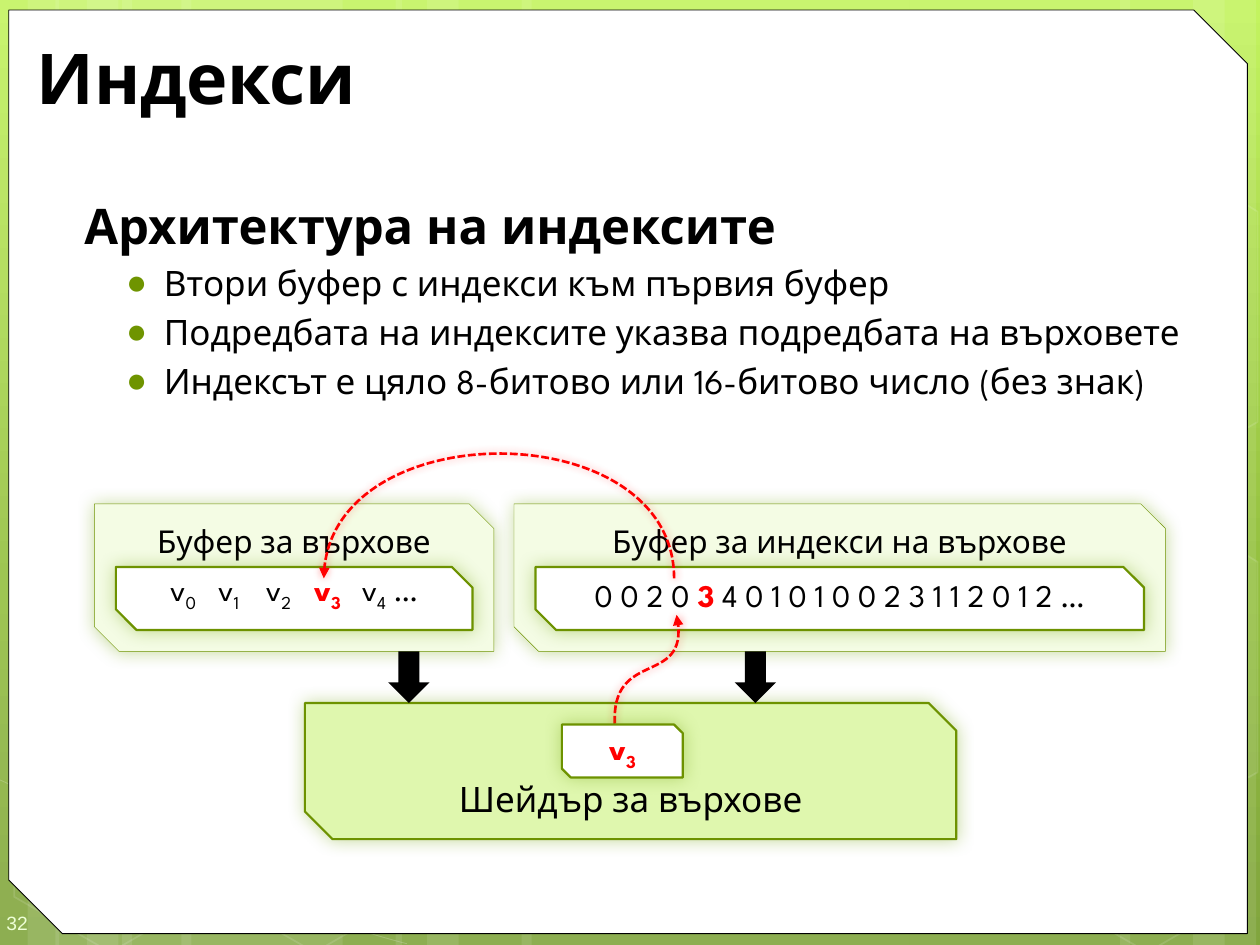
from dataclasses import dataclass, field
from typing import Any, NamedTuple

from lxml.etree import SubElement
from pptx import Presentation
from pptx.dml.color import RGBColor
from pptx.enum.dml import MSO_LINE
from pptx.enum.shapes import MSO_SHAPE
from pptx.enum.text import MSO_ANCHOR, MSO_AUTO_SIZE, PP_ALIGN
from pptx.oxml import parse_xml
from pptx.oxml.ns import nsdecls, qn
from pptx.util import Inches, Pt

WHITE = RGBColor(0xFF, 0xFF, 0xFF)
BLACK = RGBColor(0, 0, 0)
RED = RGBColor(0xFF, 0, 0)
PALE = RGBColor(0xF4, 0xFC, 0xE4)
LIME = RGBColor(0xDF, 0xF7, 0xAE)
EDGE = RGBColor(0x6D, 0x92, 0)
GLOW = RGBColor(0x74, 0xA5, 0x10)
DOT = RGBColor(0x6F, 0x94, 0)
MINT = RGBColor(0xEE, 0xFF, 0xD6)
SKY = ((0, "C3F35F"), (62, "93BF3F"), (100, "81A53E"))
FACE = "League Spartan"
STEP = 0.38


class Span(NamedTuple):
    text: str
    sub: bool = False
    hot: bool = False


@dataclass
class Card:
    box: tuple
    fill: RGBColor
    spans: list
    snip: float = 0.1667
    width: float = 1.25
    size: int = 18
    anchor: Any = MSO_ANCHOR.BOTTOM
    tabs: list = field(default_factory=list)
    inset: float = 0


class Band(NamedTuple):
    left: float
    width: float


class Curve(NamedTuple):
    points: list
    color: RGBColor
    arrow: bool


def apply(item: Any, values: dict) -> None:
    for key, value in values.items():
        setattr(item, key, value)


def place(item: Any, box: tuple) -> None:
    apply(item, dict(zip(("left", "top", "width", "height"), map(Inches, box))))


def fade(fill: Any, alpha: int) -> None:
    """Make a solid fill partly transparent; alpha is the percentage kept."""
    color = fill._xPr.find(qn("a:solidFill"))[0]
    SubElement(color, qn("a:alpha"), val=str(alpha * 1000))


def paint(shape: Any, fill: RGBColor | None, line: RGBColor | None = None,
          width: float = 1, alpha: int = 100, ink: int = 100) -> None:
    shape.shadow.inherit = False
    if fill is None:
        shape.fill.background()
    else:
        shape.fill.solid()
        shape.fill.fore_color.rgb = fill
        if alpha < 100:
            fade(shape.fill, alpha)
    if line is None:
        shape.line.fill.background()
    else:
        shape.line.color.rgb = line
        shape.line.width = Pt(width)
        if ink < 100:
            fade(shape.line.fill, ink)


def glow(shape: Any, color: RGBColor, blur: int) -> None:
    effect = shape._element.spPr.find(qn("a:effectLst"))
    shade = SubElement(effect, qn("a:outerShdw"), blurRad=str(Pt(blur)), dist="0")
    tint = SubElement(shade, qn("a:srgbClr"), val=str(color))
    SubElement(tint, qn("a:alpha"), val="40000")


def add(kind: Any, box: tuple, turn: float = 0, adjust: tuple = ()) -> Any:
    shape = shapes.add_shape(kind, *map(Inches, box))
    shape.rotation = turn
    for i, value in enumerate(adjust):
        shape.adjustments[i] = value
    return shape


def write(para: Any, text: str, size: int, color: RGBColor = BLACK,
          bold: bool = False, face: str = FACE) -> Any:
    run = para.add_run()
    run.text = text
    apply(run.font, {"size": Pt(size), "bold": bold, "name": face})
    run.font.color.rgb = color
    return run


def draw_card(card: Card) -> None:
    shape = add(MSO_SHAPE.SNIP_2_DIAG_RECTANGLE, card.box, adjust=(0, card.snip))
    paint(shape, card.fill, EDGE, card.width)
    glow(shape, GLOW, 10)
    frame = shape.text_frame
    apply(frame, {"margin_left": Inches(card.inset), "margin_right": 0,
                  "vertical_anchor": card.anchor, "word_wrap": True})
    para = frame.paragraphs[0]
    para.alignment = PP_ALIGN.LEFT if card.tabs else PP_ALIGN.CENTER
    if card.tabs:
        stops = SubElement(para._p.get_or_add_pPr(), qn("a:tabLst"))
        for stop in card.tabs:
            SubElement(stops, qn("a:tab"), pos=str(Inches(stop)), algn="l")
    for span in card.spans:
        run = write(para, span.text, card.size, RED if span.hot else BLACK, span.hot)
        if span.sub:
            run._r.get_or_add_rPr().set("baseline", "-25000")


def outline(points: list, close: bool) -> Any:
    """Join points given in inches; the builder keeps whole units only."""
    units = [(Inches(x), Inches(y)) for x, y in points]
    maker = shapes.build_freeform(*units[0])
    maker.add_line_segments(units[1:], close=close)
    return maker.convert_to_shape()


def draw_curve(curve: Curve) -> None:
    """Draw a cubic curve from its start, two control points and end."""
    shape = outline(curve.points, False)
    track = shape._element.spPr.find(".//" + qn("a:path"))
    bend = SubElement(track, qn("a:cubicBezTo"))
    for line in track.findall(qn("a:lnTo")):
        bend.append(line[0])
        track.remove(line)
    if not curve.arrow:
        paint(shape, None, curve.color, 0.5, ink=20)
        return
    paint(shape, None, curve.color, 1.5)
    shape.line.dash_style = MSO_LINE.SQUARE_DOT
    SubElement(shape.line._get_or_add_ln(), qn("a:tailEnd"), type="triangle")
    glow(shape, curve.color, 5)


deck = Presentation()
deck.slide_width, deck.slide_height = Inches(10), Inches(7.5)
slide = deck.slides.add_slide(deck.slide_layouts[1])
shapes = slide.shapes

# Backdrop
slide.background.fill.solid()
back = slide._element.cSld.find(qn("p:bg"))[0]
stops = "".join(f'<a:gs pos="{at * 1000}"><a:srgbClr val="{c}"/></a:gs>' for at, c in SKY)
back.replace(back[0], parse_xml(
    f'<a:gradFill {nsdecls("a")} rotWithShape="1"><a:gsLst>{stops}</a:gsLst>'
    '<a:lin ang="5400000" scaled="0"/></a:gradFill>'))
for band in (Band(0.97, 1.75), Band(0, 0.47), Band(0.22, 0.83), Band(1.44, 1.75),
             Band(0.44, 0.5), Band(0.69, 0.83), Band(7.22, 1.75), Band(9.47, 0.5),
             Band(8.89, 0.83), Band(4.14, 3.08), Band(3.14, 0.5), Band(3.39, 0.83)):
    paint(add(MSO_SHAPE.RECTANGLE, (band.left, 0, band.width, 7.5)), WHITE, alpha=10)
draw_curve(Curve([(0, 6.19), (1.15, 6.72), (2.36, 7.27), (3.23, 7.49)], WHITE, False))
for left in (0, 1.62, 8.23):
    cell = add(MSO_SHAPE.HEXAGON, (left, 5.92, 1.75, 1.52), 30, (0.285, 1.155))
    paint(cell, None, WHITE, ink=12)
for top, alpha in ((1.63, 0), (4.41, 4)):
    rim = [(9.15, top + 0.44), (9.9, top), (9.98, top + 0.05),
           (9.98, top + 1.72), (9.91, top + 1.76), (9.14, top + 1.32)]
    paint(outline(rim, True), WHITE if alpha else None, WHITE, alpha=alpha, ink=12)
panel = add(MSO_SHAPE.SNIP_2_DIAG_RECTANGLE, (0.07, 0.08, 9.83, 7.33), adjust=(0, 0.058))
paint(panel, WHITE, BLACK, 0.5)

# Number, title and list
number = shapes.add_textbox(*map(Inches, (0, 7.1, 0.58, 0.4))).text_frame
apply(number, {"margin_left": Inches(0.05), "margin_top": Inches(0.15),
               "margin_right": 0, "margin_bottom": Inches(0.1),
               "vertical_anchor": MSO_ANCHOR.MIDDLE, "word_wrap": True})
write(number.paragraphs[0], "32", 11, MINT, face="Arial")

title, body = shapes.title, slide.placeholders[1]
for holder, box in ((title, (0.19, 0.25, 9.47, 0.71)), (body, (0.5, 1.5, 9.42, 5.92))):
    place(holder, box)
    holder.text_frame.auto_size = MSO_AUTO_SIZE.NONE
    shapes._spTree.append(holder._element)
head = title.text_frame.paragraphs[0]
head.alignment = PP_ALIGN.LEFT
write(head, "Индекси", 40, bold=True)

lead = body.text_frame.paragraphs[0]
lead.space_before = Pt(0)
form = lead._p.get_or_add_pPr()
form.set("marL", str(Inches(0.07)))
form.set("indent", "0")
SubElement(form, qn("a:buNone"))
write(lead, "Архитектура на индексите", 28, bold=True)
for text in ("Втори буфер с индекси към първия буфер",
             "Подредбата на индексите указва подредбата на върховете",
             "Индексът е цяло 8-битово или 16-битово число (без знак)"):
    para = body.text_frame.add_paragraph()
    para.level = 1
    form = para._p.get_or_add_pPr()
    form.set("marL", str(Inches(0.7)))
    form.set("indent", str(Inches(-0.3)))
    SubElement(SubElement(form, qn("a:buClr")), qn("a:srgbClr"), val=str(DOT))
    SubElement(form, qn("a:buChar"), char="●")
    write(para, text, 20)

# Buffers and shader
verts = [span for i in range(5) for span in (
    Span("\tv" if i else "v", hot=i == 3), Span(str(i), True, i == 3))]
top = MSO_ANCHOR.TOP
for card in (
    Card((0.75, 4, 3.17, 1.17), PALE, [Span("Буфер за върхове")], width=0.25, anchor=top),
    Card((0.92, 4.5, 2.83, 0.5), WHITE, verts + [Span(" …")], 0.327,
         tabs=[STEP * i for i in range(1, 5)], inset=0.35),
    Card((2.42, 5.58, 5.17, 1.08), LIME, [Span("Шейдър за върхове")], 0.203, size=20),
    Card((4.08, 4, 5.17, 1.17), PALE, [Span("Буфер за индекси на върхове")],
         width=0.25, anchor=top),
    Card((4.25, 4.5, 4.83, 0.5), WHITE, [
        Span("0 0 2 0 "), Span("3", hot=True),
        Span(" 4 0 1 0 1 0 0 2 3 1 1 2 0 1 2 …")], 0.327),
):
    draw_card(card)

# Lookup path: shader vertex to index, index to vertex
draw_curve(Curve([(4.9, 5.91), (4.75, 5.11), (5.5, 5.51), (5.37, 4.88)], RED, True))
draw_card(Card((4.46, 5.75, 0.96, 0.42), WHITE,
               [Span("v", hot=True), Span("3", True, True)], anchor=MSO_ANCHOR.MIDDLE))
draw_curve(Curve([(5.35, 4.59), (5.35, 3.29), (2.58, 3.27), (2.57, 4.59)], RED, True))
for left in (3.04, 5.79):
    paint(add(MSO_SHAPE.RIGHT_ARROW, (left, 5.21, 0.41, 0.33), 90), BLACK)

deck.save("out.pptx")
